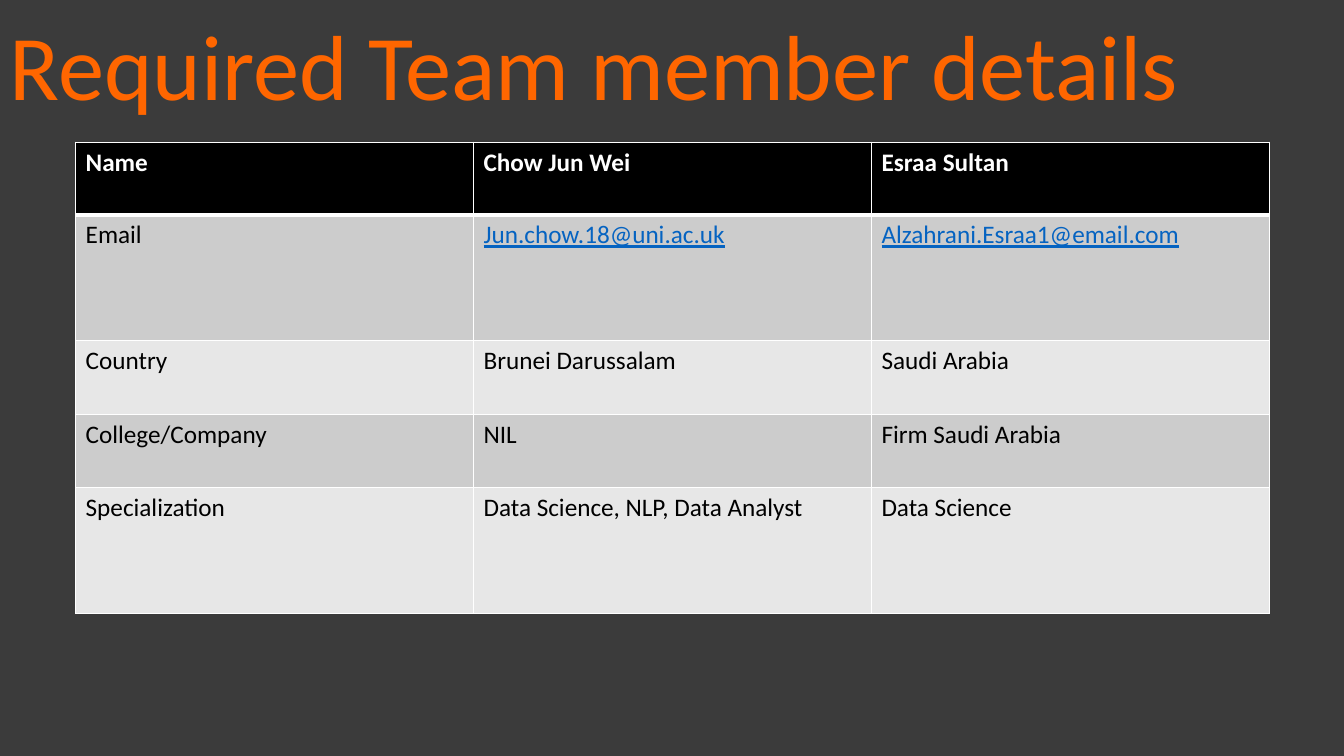
from dataclasses import dataclass

import pptx
import pptx.dml.color
import pptx.enum.shapes
import pptx.enum.text
import pptx.oxml
import pptx.oxml.ns
import pptx.util
from pptx.util import Inches


@dataclass(frozen=True)
class Theme:
    font: str = "Calibri"
    title_size: int = 66
    table_size: int = 18
    backdrop: str = "3B3B3B"
    title: str = "FF6600"
    header: str = "000000"
    header_text: str = "FFFFFF"
    body_text: str = "000000"
    link: str = "0563C1"
    bands: tuple[str, str] = ("CCCCCC", "E7E7E7")
    border: str = "FFFFFF"
    thin: float = 1
    thick: float = 3


@dataclass(frozen=True)
class DetailRow:
    label: str
    members: tuple[str, ...]
    height: float
    linked: bool = False


THEME = Theme()
ROWS = (
    DetailRow("Name", ("Chow Jun Wei", "Esraa Sultan"), 0.72),
    DetailRow("Email", ("Jun.chow.18@uni.ac.uk", "Alzahrani.Esraa1@email.com"), 1.25, True),
    DetailRow("Country", ("Brunei Darussalam", "Saudi Arabia"), 0.73),
    DetailRow("College/Company", ("NIL", "Firm Saudi Arabia"), 0.73),
    DetailRow("Specialization", ("Data Science, NLP, Data Analyst", "Data Science"), 1.25),
)


def rgb(colour: str) -> pptx.dml.color.RGBColor:
    return pptx.dml.color.RGBColor.from_string(colour)


def write(frame, text: str, *, size: int, colour: str,
          bold: bool = False, underline: bool = False) -> None:
    para = frame.paragraphs[0]
    para.alignment = pptx.enum.text.PP_ALIGN.LEFT
    span = para.add_run()
    span.text = text
    span.font.name = THEME.font
    span.font.size = pptx.util.Pt(size)
    span.font.color.rgb = rgb(colour)
    span.font.bold = bold
    span.font.underline = underline


def add_border(cell, side: str, width: float) -> None:
    line = pptx.oxml.parse_xml(
        f'<a:ln{side} {pptx.oxml.ns.nsdecls("a")} w="{pptx.util.Pt(width)}">'
        f'<a:solidFill><a:srgbClr val="{THEME.border}"/></a:solidFill></a:ln{side}>'
    )
    cell._tc.get_or_add_tcPr().append(line)


def draw_title(page) -> None:
    box = page.shapes.add_shape(
        pptx.enum.shapes.MSO_SHAPE.RECTANGLE, 0, 0, Inches(13.33), Inches(7.74))
    box.shadow.inherit = False
    box.fill.solid()
    box.fill.fore_color.rgb = rgb(THEME.backdrop)
    box.line.fill.background()
    frame = box.text_frame
    frame.word_wrap = True
    frame.vertical_anchor = pptx.enum.text.MSO_ANCHOR.TOP
    frame.margin_top = Inches(0.08)
    write(frame, "Required Team member details", size=THEME.title_size, colour=THEME.title)


def draw_cell(cell, text: str, row_index: int, linked: bool) -> None:
    is_header = row_index == 0
    for side in "LRTB":
        under_header = (side, row_index) in (("B", 0), ("T", 1))
        add_border(cell, side, THEME.thick if under_header else THEME.thin)
    cell.fill.solid()
    fill = THEME.header if is_header else THEME.bands[(row_index - 1) % 2]
    cell.fill.fore_color.rgb = rgb(fill)
    colour = THEME.header_text if is_header else THEME.body_text
    write(cell.text_frame, text, size=THEME.table_size,
          colour=THEME.link if linked else colour, bold=is_header, underline=linked)


def draw_details(page, rows: tuple[DetailRow, ...]) -> None:
    column_count = 1 + len(rows[0].members)
    table = page.shapes.add_table(
        len(rows), column_count, Inches(0.75), Inches(1.41), Inches(11.84),
        Inches(sum(row.height for row in rows))).table
    for row_index, row in enumerate(rows):
        table.rows[row_index].height = Inches(row.height)
        for column_index, text in enumerate((row.label, *row.members)):
            draw_cell(table.cell(row_index, column_index), text, row_index,
                      row.linked and column_index > 0)


def main() -> None:
    deck = pptx.Presentation()
    deck.slide_width, deck.slide_height = Inches(13.33), Inches(7.5)
    page = deck.slides.add_slide(deck.slide_layouts[6])
    draw_title(page)
    draw_details(page, ROWS)
    deck.save("out.pptx")


if __name__ == "__main__":
    main()
